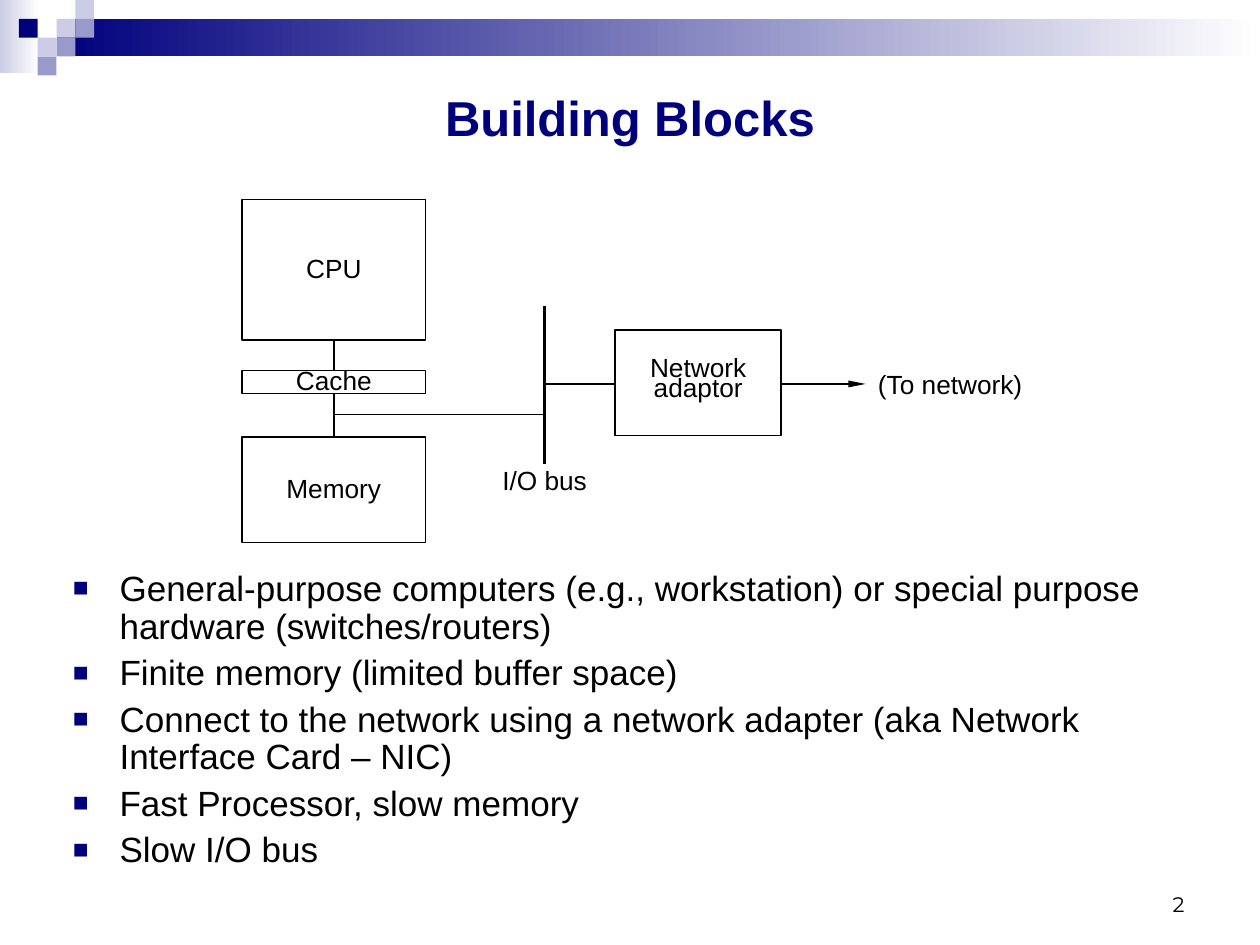
from lxml.etree import SubElement
from pptx import Presentation
from pptx.dml.color import RGBColor
from pptx.enum.shapes import MSO_CONNECTOR, MSO_SHAPE
from pptx.enum.text import MSO_ANCHOR, MSO_AUTO_SIZE, PP_ALIGN
from pptx.oxml.ns import qn
from pptx.util import Cm, Pt

COLORS = {
    "navy": "00007D",
    "mid": "9999CC",
    "light": "CCCCE6",
    "white": "FFFFFF",
    "black": "000000",
}


def write(frame, text, size=15, color="black", bold=False, font="Arial",
          align=PP_ALIGN.CENTER, anchor=MSO_ANCHOR.MIDDLE, spacing=0.93,
          before=0, margins=(0, 0), bullet=None):
    """Fill a text frame, one paragraph per line of text; margins are x, y in cm."""
    frame.word_wrap = True
    frame.auto_size = MSO_AUTO_SIZE.NONE
    frame.vertical_anchor = anchor
    frame.margin_left = frame.margin_right = Cm(margins[0])
    frame.margin_top = frame.margin_bottom = Cm(margins[1])
    for index, line in enumerate(text.split("\n")):
        para = frame.add_paragraph() if index else frame.paragraphs[0]
        if bullet:
            properties = para._p.get_or_add_pPr()
            properties.set("marL", str(Cm(0.94)))
            properties.set("indent", str(-Cm(0.94)))
            bullet_color = SubElement(properties, qn("a:buClr"))
            SubElement(bullet_color, qn("a:srgbClr"), val=COLORS["navy"])
            SubElement(properties, qn("a:buSzPct"), val="75000")
            SubElement(properties, qn("a:buFont"), typeface="Arial")
            SubElement(properties, qn("a:buChar"), char=bullet)
        para.alignment = align
        para.line_spacing = spacing
        para.space_before = Pt(before if index else 0)
        span = para.add_run()
        span.text = line
        span.font.name = font
        span.font.size = Pt(size)
        span.font.bold = bold
        span.font.color.rgb = RGBColor.from_string(COLORS[color])


def add_box(left, top, width, height, fill=None, fade=None, line=None):
    """Add a rectangle in cm; fade starts a left-to-right gradient to white."""
    box = slide.shapes.add_shape(
        MSO_SHAPE.RECTANGLE, Cm(left), Cm(top), Cm(width), Cm(height))
    box.shadow.inherit = False
    if fade:
        box.fill.gradient()
        box.fill.gradient_angle = 0
        for stop, name, position in zip(box.fill.gradient_stops, (fade, "white"), (0, 1)):
            stop.color.rgb = RGBColor.from_string(COLORS[name])
            stop.position = position
    elif fill:
        box.fill.solid()
        box.fill.fore_color.rgb = RGBColor.from_string(COLORS[fill])
    else:
        box.fill.background()
    if line:
        box.line.color.rgb = RGBColor.from_string(COLORS[line])
        box.line.width = Pt(0.88)
    else:
        box.line.fill.background()
    return box


deck = Presentation()
deck.slide_width, deck.slide_height = Cm(25.4), Cm(19.05)
slide = deck.slides.add_slide(deck.slide_layouts[1])

# Header band: two fades and a mosaic of small squares
add_box(0, 0, 0.79, 1.47, fade="light")
add_box(1.14, 0.38, 24.26, 0.76, fade="navy")
SQUARE = 0.38
mosaic = [(3, 1, "light"), (4, 0, "light"), (4, 1, "mid"), (2, 2, "light"),
          (1, 1, "navy"), (3, 2, "mid"), (2, 3, "mid")]
for column, row, color in mosaic:
    add_box(column * SQUARE, row * SQUARE, SQUARE, SQUARE, fill=color)

# Title and list
title, body = slide.shapes.title, slide.placeholders[1]
title.left, title.top, title.width, title.height = Cm(1.27), Cm(1.47), Cm(22.86), Cm(1.9)
write(title.text_frame, "Building Blocks", size=28, color="navy", bold=True,
      margins=(0.25, 0.13))

points = [
    "General-purpose computers (e.g., workstation) or special purpose hardware (switches/routers)",
    "Finite memory (limited buffer space)",
    "Connect to the network using a network adapter (aka Network Interface Card – NIC)",
    "Fast Processor, slow memory",
    "Slow I/O bus",
]
body.left, body.top, body.width, body.height = Cm(1.22), Cm(11.38), Cm(22.86), Cm(7.21)
write(body.text_frame, "\n".join(points), size=20, align=PP_ALIGN.LEFT,
      anchor=MSO_ANCHOR.TOP, spacing=0.9, before=5, margins=(0.25, 0.13), bullet="■")

# Diagram blocks
blocks = [
    ("CPU", 4.88, 4.02, 3.7, 2.84, 0.93),
    ("Cache", 4.88, 7.47, 3.7, 0.46, 0.93),
    ("Memory", 4.88, 8.81, 3.7, 2.13, 0.93),
    ("Network\nadaptor", 12.4, 6.65, 3.35, 2.13, Pt(11.5)),
]
for text, left, top, width, height, spacing in blocks:
    block = add_box(left, top, width, height, line="black")
    write(block.text_frame, text, spacing=spacing)

# Wires: x1, y1, x2, y2, line width, arrowhead
TRUNK, BUS, PORT = 6.73, 10.98, 7.74
wires = [
    (TRUNK, 6.86, TRUNK, 7.47, 0.88, False),
    (TRUNK, 7.93, TRUNK, 8.81, 0.88, False),
    (TRUNK, 8.36, BUS, 8.36, 0.88, False),
    (BUS, 6.17, BUS, 9.35, 1.87, False),
    (BUS, PORT, 12.4, PORT, 0.88, False),
    (15.75, PORT, 17.45, PORT, 0.88, True),
]
for x1, y1, x2, y2, weight, arrow in wires:
    wire = slide.shapes.add_connector(
        MSO_CONNECTOR.STRAIGHT, Cm(x1), Cm(y1), Cm(x2), Cm(y2))
    wire.line.color.rgb = RGBColor.from_string(COLORS["black"])
    wire.line.width = Pt(weight)
    if arrow:
        SubElement(wire.line._get_or_add_ln(), qn("a:tailEnd"),
                   type="triangle", w="sm", len="lg")
    SubElement(wire._element.spPr, qn("a:effectLst"))

# Free labels and page number
labels = [
    ("I/O bus", 9.88, 9.42, 2.2, 0.58, {}),
    ("(To network)", 17.7, 7.49, 3.3, 0.58, {"align": PP_ALIGN.LEFT}),
    ("2", 18.21, 17.78, 5.92, 0.84,
     {"size": 12, "font": "Montserrat", "align": PP_ALIGN.RIGHT, "spacing": 1,
      "anchor": MSO_ANCHOR.BOTTOM, "margins": (0.25, 0.13)}),
]
for text, left, top, width, height, style in labels:
    label = slide.shapes.add_textbox(Cm(left), Cm(top), Cm(width), Cm(height))
    write(label.text_frame, text, **style)

deck.save("out.pptx")
